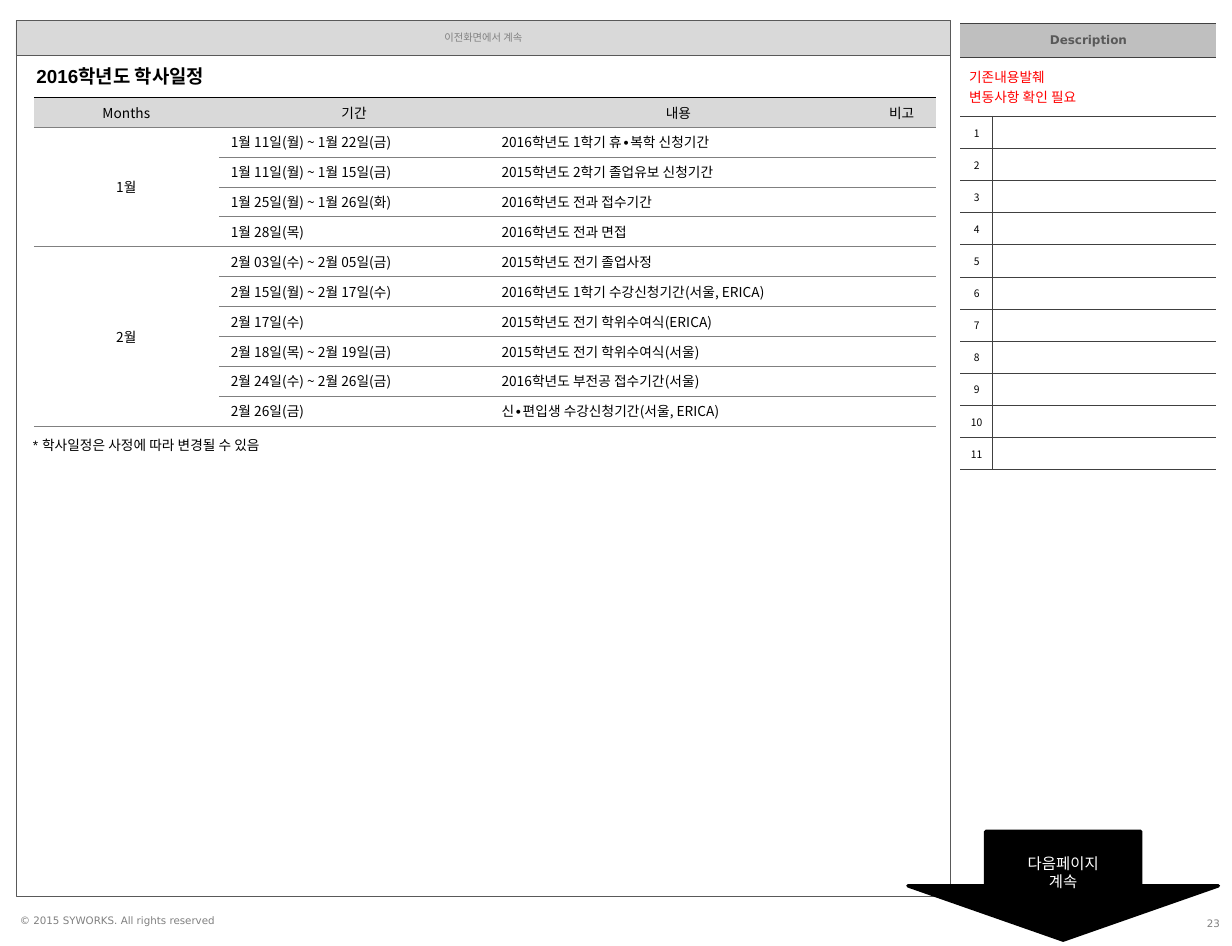
import lxml.etree
import pptx
import pptx.dml.color
import pptx.enum.shapes
import pptx.enum.text
import pptx.oxml.ns
import pptx.util
from collections import namedtuple

Cm = pptx.util.Cm
Pt = pptx.util.Pt
RGBColor = pptx.dml.color.RGBColor
Align = pptx.enum.text.PP_ALIGN
Anchor = pptx.enum.text.MSO_ANCHOR
Shape = pptx.enum.shapes.MSO_SHAPE
qn = pptx.oxml.ns.qn

BLACK = RGBColor(0x00, 0x00, 0x00)
WHITE = RGBColor(0xFF, 0xFF, 0xFF)
RED = RGBColor(0xFF, 0x00, 0x00)
CHARCOAL = RGBColor(0x40, 0x40, 0x40)
SLATE = RGBColor(0x59, 0x59, 0x59)
GRAY = RGBColor(0x80, 0x80, 0x80)
SILVER = RGBColor(0xBF, 0xBF, 0xBF)
LIGHT = RGBColor(0xD9, 0xD9, 0xD9)

SANS = "DejaVu Sans"
ARIAL = "Arial"
NOTO = "Noto Sans CJK KR"
PLAIN_TABLE = "{2D5ABB26-0587-4C30-8999-92F81FD0307C}"

Box = namedtuple("Box", "left top width height")

SCHEDULE = {
    "1월": [
        ("1월 11일(월) ~ 1월 22일(금)", "2016학년도 1학기 휴∙복학 신청기간"),
        ("1월 11일(월) ~ 1월 15일(금)", "2015학년도 2학기 졸업유보 신청기간"),
        ("1월 25일(월) ~ 1월 26일(화)", "2016학년도 전과 접수기간"),
        ("1월 28일(목)", "2016학년도 전과 면접"),
    ],
    "2월": [
        ("2월 03일(수) ~ 2월 05일(금)", "2015학년도 전기 졸업사정"),
        ("2월 15일(월) ~ 2월 17일(수)", "2016학년도 1학기 수강신청기간(서울, ERICA)"),
        ("2월 17일(수)", "2015학년도 전기 학위수여식(ERICA)"),
        ("2월 18일(목) ~ 2월 19일(금)", "2015학년도 전기 학위수여식(서울)"),
        ("2월 24일(수) ~ 2월 26일(금)", "2016학년도 부전공 접수기간(서울)"),
        ("2월 26일(금)", "신∙편입생 수강신청기간(서울, ERICA)"),
    ],
}


def write(frame, text, font, size, color, align=Align.LEFT, bold=False):
    for index, line in enumerate(text.split("\n")):
        para = frame.paragraphs[0] if index == 0 else frame.add_paragraph()
        para.alignment = align
        para.font.name = font
        para.font.size = Pt(size)
        para.font.bold = bold
        para.font.color.rgb = color
        defaults = para._p.pPr.find(qn("a:defRPr"))
        lxml.etree.SubElement(defaults, qn("a:ea"), typeface=NOTO)
        if line:
            para.add_run().text = line
        else:
            lxml.etree.SubElement(para._p, qn("a:endParaRPr"), sz=str(size * 100))


def add_block(page, kind, box, fill, line_color, line_width):
    block = page.shapes.add_shape(kind, *map(Cm, box))
    block.shadow.inherit = False
    if fill is None:
        block.fill.background()
    else:
        block.fill.solid()
        block.fill.fore_color.rgb = fill
    block.line.color.rgb = line_color
    block.line.width = Pt(line_width)
    block.text_frame.vertical_anchor = Anchor.MIDDLE
    return block


def add_label(page, box, text, font, size, color, align=Align.LEFT, bold=False, inset=None):
    label = page.shapes.add_textbox(*map(Cm, box))
    frame = label.text_frame
    frame.word_wrap = align == Align.RIGHT
    if inset is not None:
        frame.margin_left = frame.margin_right = Cm(inset)
        frame.margin_top = frame.margin_bottom = Cm(inset)
    write(frame, text, font, size, color, align, bold)
    return label


def add_grid(page, box, widths, heights):
    table = page.shapes.add_table(len(heights), len(widths), *map(Cm, box)).table
    table.first_row = False
    table.horz_banding = False
    table._tbl.tblPr.find(qn("a:tableStyleId")).text = PLAIN_TABLE
    for column, width in zip(table.columns, widths):
        column.width = Cm(width)
    for row, height in zip(table.rows, heights):
        row.height = Cm(height)
    return table


def style_cell(cell, fill, borders, margin):
    properties = cell._tc.get_or_add_tcPr()
    for side in "LRTB":
        if side in borders:
            color, width = borders[side]
            line = lxml.etree.SubElement(properties, qn("a:ln" + side), w=str(Pt(width)))
            paint = lxml.etree.SubElement(line, qn("a:solidFill"))
            lxml.etree.SubElement(paint, qn("a:srgbClr"), val=str(color))
    cell.fill.solid()
    cell.fill.fore_color.rgb = fill
    cell.vertical_anchor = Anchor.MIDDLE
    cell.margin_left = cell.margin_right = Cm(margin)
    cell.margin_top = cell.margin_bottom = Cm(0.08)


def draw_screen(page, box):
    add_block(page, Shape.RECTANGLE, box, None, SLATE, 0.25)
    bar = add_block(page, Shape.RECTANGLE, box._replace(height=0.72), LIGHT, SLATE, 0.25)
    write(bar.text_frame, "이전화면에서 계속", SANS, 6, GRAY, Align.CENTER)
    add_label(page, Box(box.left + 0.17, box.top + 0.78, 4.29, 0.74),
              "2016학년도 학사일정", ARIAL, 11, BLACK, bold=True)
    draw_calendar(page, Box(box.left + 0.37, box.top + 1.58, 18.59, 6.78))
    add_label(page, Box(box.left + 0.1, box.top + 8.45, 5.82, 0.61),
              "* 학사일정은 사정에 따라 변경될 수 있음", ARIAL, 8, BLACK)


def draw_calendar(page, box):
    rows = [("Months", "기간", "내용", "비고")]
    spans = []
    for month, events in SCHEDULE.items():
        spans.append((len(rows), len(rows) + len(events) - 1))
        rows += [(month if index == 0 else "", period, event, "")
                 for index, (period, event) in enumerate(events)]
    table = add_grid(page, box, [3.81, 5.58, 7.8, 1.4], [box.height / len(rows)] * len(rows))
    for first, last in spans:
        table.cell(first, 0).merge(table.cell(last, 0))
    for row, texts in enumerate(rows):
        for column, text in enumerate(texts):
            cell = table.cell(row, column)
            if cell.is_spanned:
                continue
            top = BLACK if row == 0 else GRAY
            style_cell(cell, LIGHT if row == 0 else WHITE,
                       {"T": (top, 0.25), "B": (GRAY, 0.25)}, 0.25)
            centered = row == 0 or column == 0
            write(cell.text_frame, text, NOTO, 8, BLACK,
                  Align.CENTER if centered else Align.LEFT)


def draw_description(page, box):
    count = 11
    table = add_grid(page, box, [0.67, box.width - 0.67],
                     [0.7, 1.22] + [(box.height - 1.92) / count] * count)
    edge = (CHARCOAL, 0.5)
    rules = {"T": edge, "B": edge}
    for row in range(2):
        table.cell(row, 0).merge(table.cell(row, 1))
    heading, remark = table.cell(0, 0), table.cell(1, 0)
    style_cell(heading, SILVER, rules, 0.18)
    write(heading.text_frame, "Description", SANS, 7, SLATE, Align.CENTER, True)
    style_cell(remark, WHITE, rules, 0.18)
    write(remark.text_frame, "기존내용발췌\n변동사항 확인 필요", ARIAL, 8, RED)
    for number in range(1, count + 1):
        index, entry = table.cell(number + 1, 0), table.cell(number + 1, 1)
        style_cell(index, WHITE, {**rules, "R": edge}, 0.18)
        write(index.text_frame, str(number), NOTO, 6, BLACK, Align.CENTER)
        style_cell(entry, WHITE, {**rules, "L": edge}, 0.18)
        write(entry.text_frame, "", NOTO, 6, BLACK)


def draw_next_page_arrow(page, box):
    arrow = add_block(page, Shape.DOWN_ARROW, box, BLACK, BLACK, 2)
    write(arrow.text_frame, "다음페이지\n계속", NOTO, 9, WHITE, Align.CENTER)


def draw_footer(page, box):
    add_label(page, Box(box.left, box.top + 0.17, 4.14, 0.25),
              "© 2015 SYWORKS. All rights reserved", SANS, 6, GRAY, inset=0)
    number = add_label(page, Box(box.left + box.width - 1.2, box.top, 1.2, box.height),
                       "23", SANS, 6, GRAY, Align.RIGHT)
    number.text_frame.vertical_anchor = Anchor.MIDDLE


def main():
    deck = pptx.Presentation()
    deck.slide_width = Cm(25.4)
    deck.slide_height = Cm(19.5)
    page = deck.slides.add_slide(deck.slide_layouts[6])
    draw_screen(page, Box(0.33, 0.42, 19.27, 18.06))
    draw_footer(page, Box(0.41, 18.68, 24.99, 0.71))
    draw_description(page, Box(19.8, 0.48, 5.28, 9.21))
    draw_next_page_arrow(page, Box(18.72, 17.14, 6.4, 2.24))
    deck.save("out.pptx")


if __name__ == "__main__":
    main()
